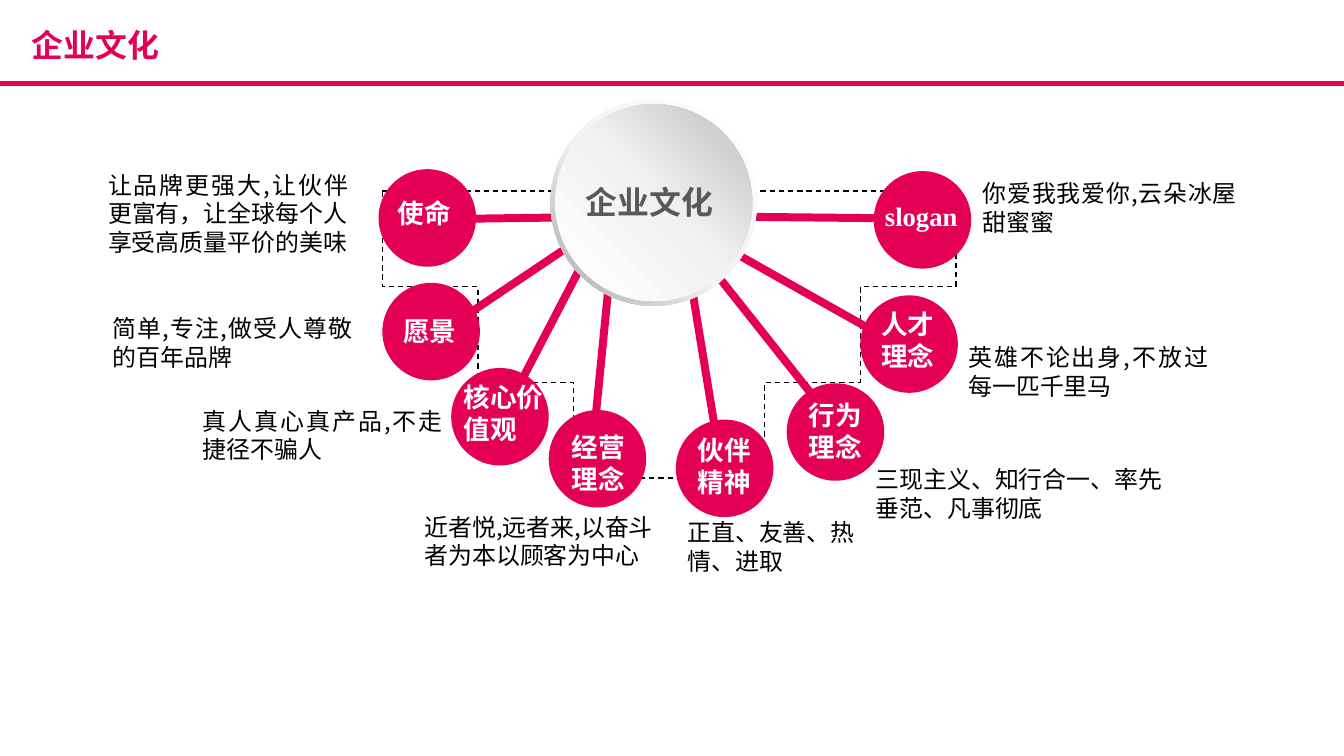
from copy import deepcopy
from dataclasses import dataclass

from lxml import etree
from pptx import Presentation
from pptx.dml.color import RGBColor
from pptx.enum import dml, shapes, text
from pptx.oxml.ns import qn
from pptx.util import Inches, Pt

PINK = RGBColor(0xE4, 0x00, 0x55)
WHITE = RGBColor(0xFF, 0xFF, 0xFF)
BLACK = RGBColor(0x00, 0x00, 0x00)
DARK_GREY = RGBColor(0x59, 0x59, 0x59)
MID_GREY = RGBColor(0xA6, 0xA6, 0xA6)
SOFT_GREY = RGBColor(0xBF, 0xBF, 0xBF)
PALE_GREY = RGBColor(0xF2, 0xF2, 0xF2)

CJK = "Noto Sans CJK SC"
WIDTH, HEIGHT = 14.06, 7.91
DISC = 1.02
LEFT, CENTER, JUSTIFY = text.PP_ALIGN.LEFT, text.PP_ALIGN.CENTER, text.PP_ALIGN.JUSTIFY

Point = tuple[float, float]
Box = tuple[float, float, float, float]


@dataclass(frozen=True)
class Value:
    label: str
    disc: Point
    label_box: Box
    spoke: tuple[Point, Point]
    detail: str
    detail_box: Box
    align: text.PP_ALIGN = JUSTIFY
    font: str = CJK


VALUES = [
    Value("使命", (3.96, 1.77), (4.06, 2.01, 0.77, 0.44), ((7, 2.26), (4.06, 2.3)),
          "让品牌更强大,让伙伴更富有，让全球每个人享受高质量平价的美味", (1.13, 1.78, 2.51, 1.01)),
    Value("愿景", (4, 2.96), (4.12, 3.25, 0.97, 0.44), ((6.41, 2.27), (4.31, 3.68)),
          "简单,专注,做受人尊敬的百年品牌", (1.18, 3.28, 2.51, 0.63)),
    Value("核心价值观", (4.72, 3.85), (4.75, 3.94, 1.06, 0.77), ((6.3, 2.36), (5.02, 4.82)),
          "真人真心真产品,不走捷径不骗人", (2.12, 4.25, 2.51, 0.63)),
    Value("经营理念", (5.74, 4.29), (5.88, 4.46, 0.82, 0.77), ((6.44, 2.25), (6.18, 4.88)),
          "近者悦,远者来,以奋斗者为本以顾客为中心", (4.44, 5.36, 2.58, 0.61), LEFT),
    Value("伙伴精神", (7.07, 4.39), (7.2, 4.49, 0.79, 0.77), ((7.11, 2.23), (7.5, 4.61)),
          "正直、友善、热情、进取", (7.19, 5.42, 1.85, 0.63), LEFT),
    Value("行为理念", (8.23, 4.01), (8.36, 4.13, 0.87, 0.77), ((7.02, 2.27), (8.63, 4.3)),
          "三现主义、知行合一、率先垂范、凡事彻底", (9.16, 4.86, 3.13, 0.61), LEFT),
    Value("人才理念", (9, 3.09), (9.12, 3.17, 0.79, 0.77), ((7, 2.26), (9.22, 3.51)),
          "英雄不论出身,不放过每一匹千里马", (10.13, 3.59, 2.51, 0.63)),
    Value("slogan", (9.14, 1.79), (9.16, 2.04, 1.06, 0.44), ((7, 2.26), (9.86, 2.29)),
          "你爱我我爱你,云朵冰屋甜蜜蜜", (10.28, 1.87, 2.66, 0.63), font="Times New Roman"),
]

# Start point, then two control points and an end point per curve
ARC_START = (4.44, 2.28)
ARC_CURVES = [
    ((4.83, 2.3), (9.25, 2.22), (9.71, 2.34)),
    ((9.79, 2.69), (8.78, 4.97), (7.02, 5.04)),
    ((5.25, 5.11), (4.04, 2.26), (4.44, 2.28)),
]


def inches(values):
    return [Inches(v) for v in values]


def write(tf, words: str, size: int, color: RGBColor, bold: bool = False,
          align: text.PP_ALIGN = LEFT, font: str = CJK) -> None:
    p = tf.paragraphs[0]
    p.alignment = align
    r = p.add_run()
    r.text = words
    f = r.font
    f.name, f.size, f.bold = font, Pt(size), bold
    f.color.rgb = color
    etree.SubElement(f._element, qn("a:ea")).set("typeface", CJK)


def add_text(s, box: Box, words: str, size: int, color: RGBColor, inset: bool = True,
             wrap: bool = True, **style) -> None:
    tf = s.shapes.add_textbox(*inches(box)).text_frame
    tf.word_wrap = wrap
    if not inset:
        tf.margin_left = tf.margin_right = tf.margin_top = tf.margin_bottom = 0
    write(tf, words, size, color, **style)


def add_plain(s, kind: shapes.MSO_SHAPE, box: Box):
    """Add a preset shape without outline or shadow."""
    sp = s.shapes.add_shape(kind, *inches(box))
    sp.shadow.inherit = False
    sp.line.fill.background()
    return sp


def add_solid(s, kind: shapes.MSO_SHAPE, box: Box) -> None:
    fill = add_plain(s, kind, box).fill
    fill.solid()
    fill.fore_color.rgb = PINK


def set_gradient(sp, stops: list[tuple[float, RGBColor]], angle: float) -> None:
    sp.fill.gradient()
    sp.fill.gradient_angle = angle
    gs_list = sp._element.spPr.find(".//" + qn("a:gsLst"))
    gs_list.append(deepcopy(gs_list[-1]))
    for stop, (position, color) in zip(sp.fill.gradient_stops, stops):
        stop.position = position
        stop.color.rgb = color


def add_spoke(s, start: Point, end: Point) -> None:
    line = s.shapes.add_connector(shapes.MSO_CONNECTOR.STRAIGHT, *inches(start + end))
    line.line.color.rgb = PINK
    line.line.width = Pt(6)
    etree.SubElement(line._element.spPr, qn("a:effectLst"))


def add_arc(s, steps: int = 30) -> None:
    """Draw the dashed outline that links the discs, sampled from Bezier curves."""
    points, start = [], ARC_START
    for c1, c2, end in ARC_CURVES:
        for i in range(1, steps + 1):
            t = i / steps
            u = 1 - t
            points.append(tuple(
                u**3 * a + 3 * u * u * t * b + 3 * u * t * t * c + t**3 * d
                for a, b, c, d in zip(start, c1, c2, end)))
        start = end
    builder = s.shapes.build_freeform(*ARC_START, scale=Inches(1))
    builder.add_line_segments(points, close=True)
    sp = builder.convert_to_shape()
    sp.shadow.inherit = False
    sp.fill.background()
    sp.line.color.rgb = BLACK
    sp.line.width = Pt(1)
    sp.line.dash_style = dml.MSO_LINE.DASH


def add_title(s) -> None:
    title = s.shapes.title
    title.left, title.top, title.width, title.height = inches((0.26, 0.3, 5.49, 0.33))
    tf = title.text_frame
    tf.auto_size = text.MSO_AUTO_SIZE.NONE
    tf.vertical_anchor = text.MSO_ANCHOR.MIDDLE
    tf.margin_left = tf.margin_right = Inches(0.07)
    tf.margin_top = tf.margin_bottom = Inches(0.04)
    write(tf, "企业文化", 24, PINK, bold=True, font="Arial")
    add_solid(s, shapes.MSO_SHAPE.RECTANGLE, (0, 0.85, WIDTH, 0.05))


def add_hub(s) -> None:
    ring = add_plain(s, shapes.MSO_SHAPE.DONUT, (5.76, 1.04, 2.16, 2.16))
    ring.adjustments[0] = 0.05
    set_gradient(ring, [(0, WHITE), (0.55, PALE_GREY), (1, MID_GREY)], 225)
    face = add_plain(s, shapes.MSO_SHAPE.OVAL, (5.81, 1.09, 2.06, 2.06))
    set_gradient(face, [(0, WHITE), (0.51, PALE_GREY), (1, SOFT_GREY)], 45)
    add_text(s, (6.02, 1.86, 1.55, 0.5), "企业文化", 24, DARK_GREY,
             wrap=False, bold=True, align=CENTER)


def main() -> None:
    prs = Presentation()
    prs.slide_width, prs.slide_height = inches((WIDTH, HEIGHT))
    s = prs.slides.add_slide(prs.slide_layouts[5])
    add_title(s)
    add_arc(s)
    for value in VALUES:
        add_spoke(s, *value.spoke)
    for value in VALUES:
        add_solid(s, shapes.MSO_SHAPE.OVAL, (*value.disc, DISC, DISC))
        add_text(s, value.label_box, value.label, 20, WHITE, bold=True, font=value.font)
        add_text(s, value.detail_box, value.detail, 18, BLACK, inset=False, align=value.align)
    add_hub(s)
    prs.save("out.pptx")


if __name__ == "__main__":
    main()
